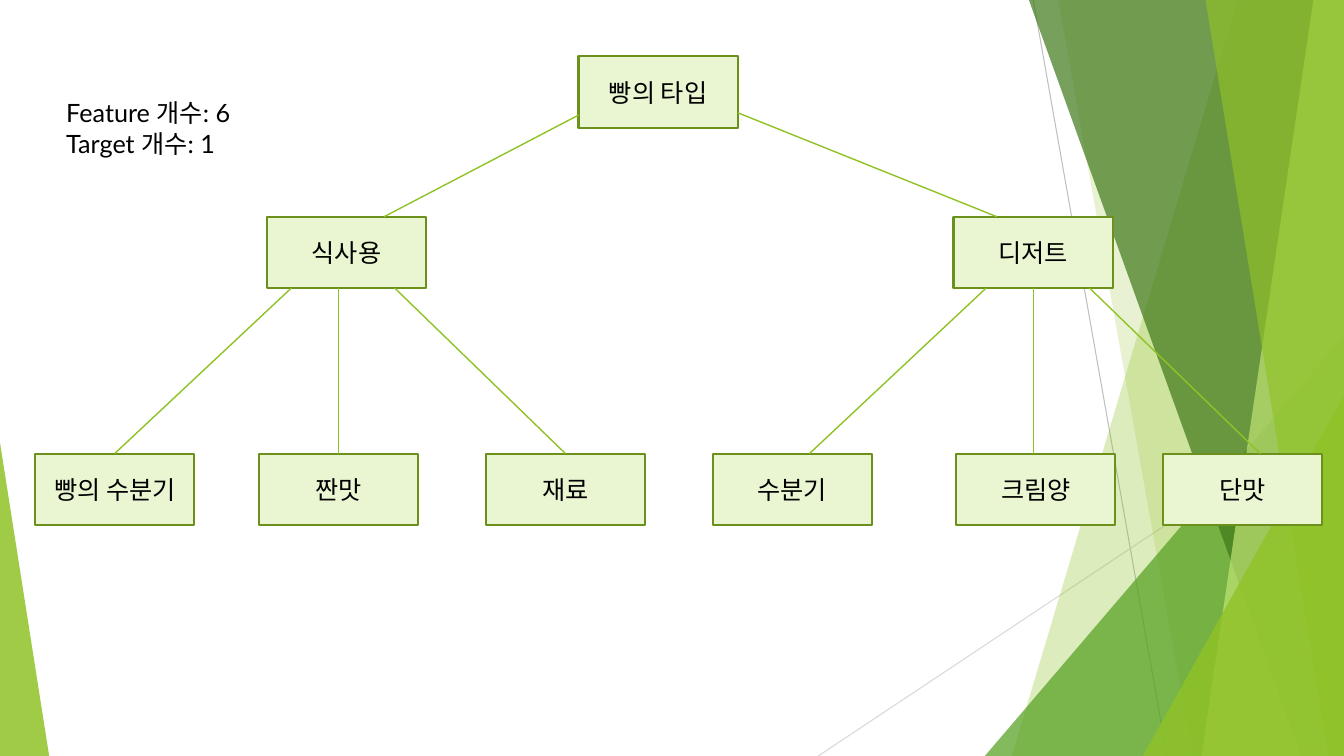
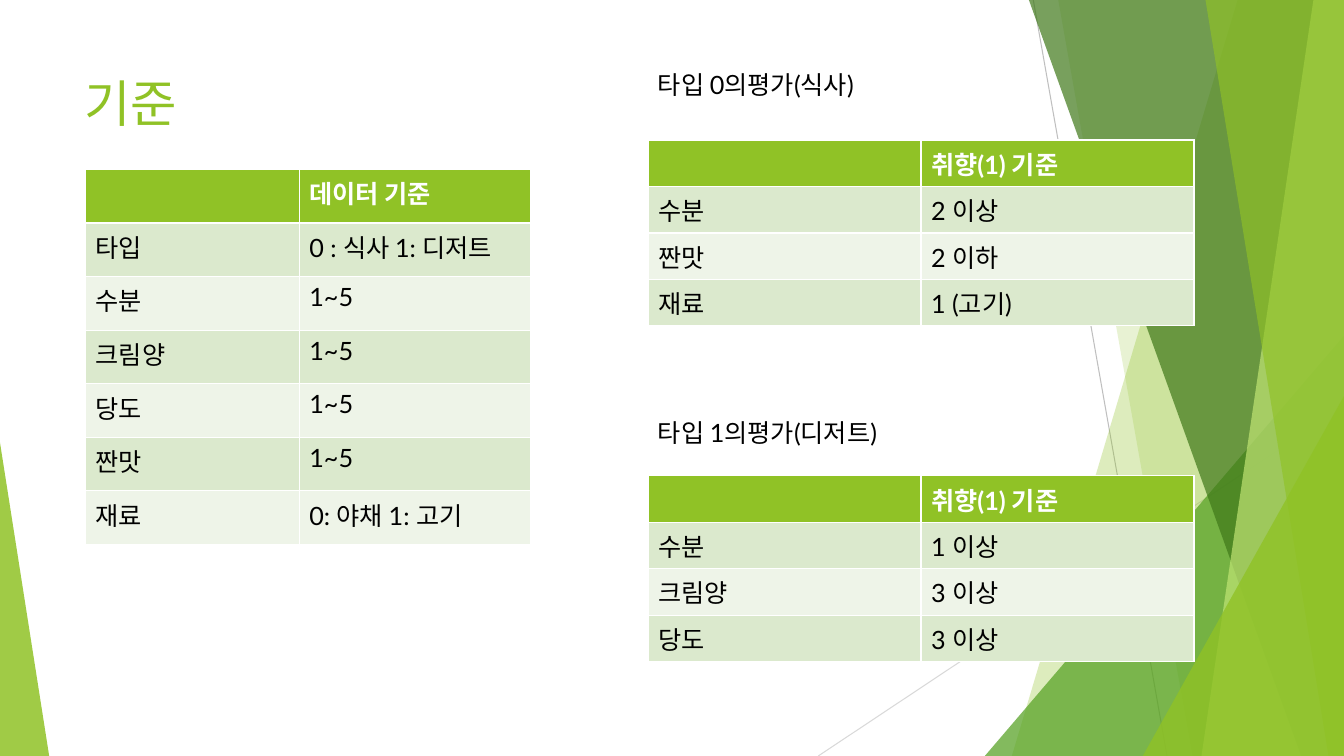
from lxml.etree import SubElement
from pptx import Presentation
from pptx.dml.color import RGBColor
from pptx.enum.shapes import MSO_CONNECTOR as CONN, MSO_SHAPE as SHAPE
from pptx.enum.text import MSO_ANCHOR as ANCHOR, PP_ALIGN as ALIGN
from pptx.oxml.ns import qn
from pptx.util import Cm, Pt

FONT = "Lato"
WHITE, BLACK, LIME = "FFFFFF", "000000", "90C226"
BOX_FILL, BOX_LINE = "EAF6D1", "6B901C"
ROW_FILLS = ("DBE9CD", "EEF4E8")
WIDTH, HEIGHT = 33.87, 19.05

RAYS = [((26.04, 0), (29.41, HEIGHT), "BFBFBF"),
        ((WIDTH, 10.24), (20.62, HEIGHT), "D9D9D9")]
# kind, geometry, colour, opacity
BACKDROP = [
    ("band", (31.19, 25.5), LIME, 30),
    ("band", (26.67, 30.05), LIME, 20),
    ("wedge", (24.82, 8.46, 9.05, 1), "54A021", 72),
    ("band", (25.93, 32.79), "3F7819", 70),
    ("band", (33.1, 30.28), "C0E474", 70),
    ("band", (30.38, 33.48), LIME, 65),
    ("wedge", (28.8, 9.98, 5.07, 1), LIME, 80),
    ("wedge", (0, 11.15, 1.24, 0), LIME, 85),
]

COUNTS = ["Feature 개수: 6", "Target 개수: 1"]
BOX_W, BOX_H = 4.01, 1.8
ROOT_Y, TYPE_Y, LEAF_Y = 1.42, 5.46, 11.43
LEVELS = [
    (ROOT_Y, [("빵의 타입", 14.58)]),
    (TYPE_Y, [("식사용", 6.73), ("디저트", 24.03)]),
    (LEAF_Y, [("빵의 수분기", 0.89), ("짠맛", 6.53), ("재료", 12.24),
              ("수분기", 17.96), ("크림양", 24.1), ("단맛", 29.31)]),
]
ROOT_BRANCHES = [((14.58, 2.9), (9.68, TYPE_Y)),
                 ((18.59, 2.84), (25.12, TYPE_Y))]
FAN_AXES = (8.53, 26.04)
FAN = [(-1.19, -5.64), (0, 0), (1.42, 5.72)]

TITLE = "기준"
CAPTIONS = [("타입 0의평가(식사)", 1.63), ("타입 1의평가(디저트)", 10.39)]
TABLES = [
    {"at": (2.16, 4.27), "cols": (5.38, 5.82), "row": 1.35,
     "rows": [("", "데이터 기준"), ("타입", "0 : 식사 1: 디저트"),
              ("수분", "1~5"), ("크림양", "1~5"), ("당도", "1~5"),
              ("짠맛", "1~5"), ("재료", "0: 야채 1: 고기")]},
    {"at": (16.33, 3.53), "cols": (6.88, 6.88), "row": 1.17,
     "rows": [("", "취향(1) 기준"), ("수분", "2 이상"),
              ("짠맛", "2 이하"), ("재료", "1 (고기)")]},
    {"at": (16.33, 11.99), "cols": (6.88, 6.88), "row": 1.17,
     "rows": [("", "취향(1) 기준"), ("수분", "1 이상"),
              ("크림양", "3 이상"), ("당도", "3 이상")]},
]


def rgb(color):
    return RGBColor.from_string(color)


def paint(sp, color, opacity=100):
    sp.shadow.inherit = False
    sp.fill.solid()
    sp.fill.fore_color.rgb = rgb(color)
    sp.line.fill.background()
    if opacity < 100:
        clr = sp.fill._xPr.find(".//" + qn("a:srgbClr"))
        SubElement(clr, qn("a:alpha"), val=str(opacity * 1000))


def style(p, color=BLACK, size=18, bold=False):
    p.font.name, p.font.size, p.font.bold = FONT, Pt(size), bold
    p.font.color.rgb = rgb(color)


def add_line(s, start, end, color, width):
    line = s.shapes.add_connector(CONN.STRAIGHT, *map(Cm, start + end))
    line.line.color.rgb = rgb(color)
    line.line.width = Pt(width)
    SubElement(line._element.spPr, qn("a:effectLst"))


def add_text(s, lines, x, y, w, h, **font):
    tf = s.shapes.add_textbox(Cm(x), Cm(y), Cm(w), Cm(h)).text_frame
    tf.word_wrap = True
    tf.text = "\n".join(lines)
    for p in tf.paragraphs:
        style(p, **font)


def add_band(s, top, bottom):
    outline = s.shapes.build_freeform(Cm(top), 0)
    corners = [(WIDTH, 0), (WIDTH, HEIGHT), (bottom, HEIGHT)]
    outline.add_line_segments([(Cm(x), Cm(y)) for x, y in corners])
    return outline.convert_to_shape()


def add_wedge(s, x, y, w, apex):
    sp = s.shapes.add_shape(SHAPE.ISOSCELES_TRIANGLE,
                            Cm(x), Cm(y), Cm(w), Cm(HEIGHT - y))
    sp.adjustments[0] = apex
    return sp


def add_slide(prs):
    s = prs.slides.add_slide(prs.slide_layouts[6])
    for start, end, color in RAYS:
        add_line(s, start, end, color, 0.75)
    makers = {"band": add_band, "wedge": add_wedge}
    for kind, geometry, color, opacity in BACKDROP:
        paint(makers[kind](s, *geometry), color, opacity)
    return s


def add_box(s, text, x, y):
    sp = s.shapes.add_shape(SHAPE.RECTANGLE, Cm(x), Cm(y), Cm(BOX_W), Cm(BOX_H))
    paint(sp, BOX_FILL)
    sp.line.color.rgb = rgb(BOX_LINE)
    sp.line.width = Pt(1.5)
    tf = sp.text_frame
    tf.text = text
    tf.vertical_anchor = ANCHOR.MIDDLE
    p = tf.paragraphs[0]
    p.alignment = ALIGN.CENTER
    style(p)


def add_grid(s, at, cols, row, rows):
    x, y = at
    table = s.shapes.add_table(len(rows), len(cols), Cm(x), Cm(y),
                               Cm(sum(cols)), Cm(row * len(rows))).table
    for col, w in zip(table.columns, cols):
        col.width = Cm(w)
    for i, texts in enumerate(rows):
        table.rows[i].height = Cm(row)
        header = i == 0
        for j, text in enumerate(texts):
            cell = table.cell(i, j)
            cell.text = text
            cell.fill.solid()
            cell.fill.fore_color.rgb = rgb(LIME if header else ROW_FILLS[(i - 1) % 2])
            style(cell.text_frame.paragraphs[0], WHITE if header else BLACK, bold=header)


def tree_slide(prs):
    s = add_slide(prs)
    add_text(s, COUNTS, 1.42, 2.34, 7.34, 1.8)
    for y, boxes in LEVELS:
        for text, x in boxes:
            add_box(s, text, x, y)
    fans = [((axis + a, TYPE_Y + BOX_H), (axis + b, LEAF_Y))
            for axis in FAN_AXES for a, b in FAN]
    for start, end in ROOT_BRANCHES + fans:
        add_line(s, start, end, LIME, 1)


def criteria_slide(prs):
    s = add_slide(prs)
    add_text(s, [TITLE], 1.88, 1.7, 9.3, 1.83, color=LIME, size=36)
    for grid in TABLES:
        add_grid(s, **grid)
    for text, y in CAPTIONS:
        add_text(s, [text], 16.33, y, 6.35, 1.02)


def main():
    """Build the bread classification slides."""
    prs = Presentation()
    prs.slide_width, prs.slide_height = Cm(WIDTH), Cm(HEIGHT)
    tree_slide(prs)
    criteria_slide(prs)
    prs.save("out.pptx")


if __name__ == "__main__":
    main()
